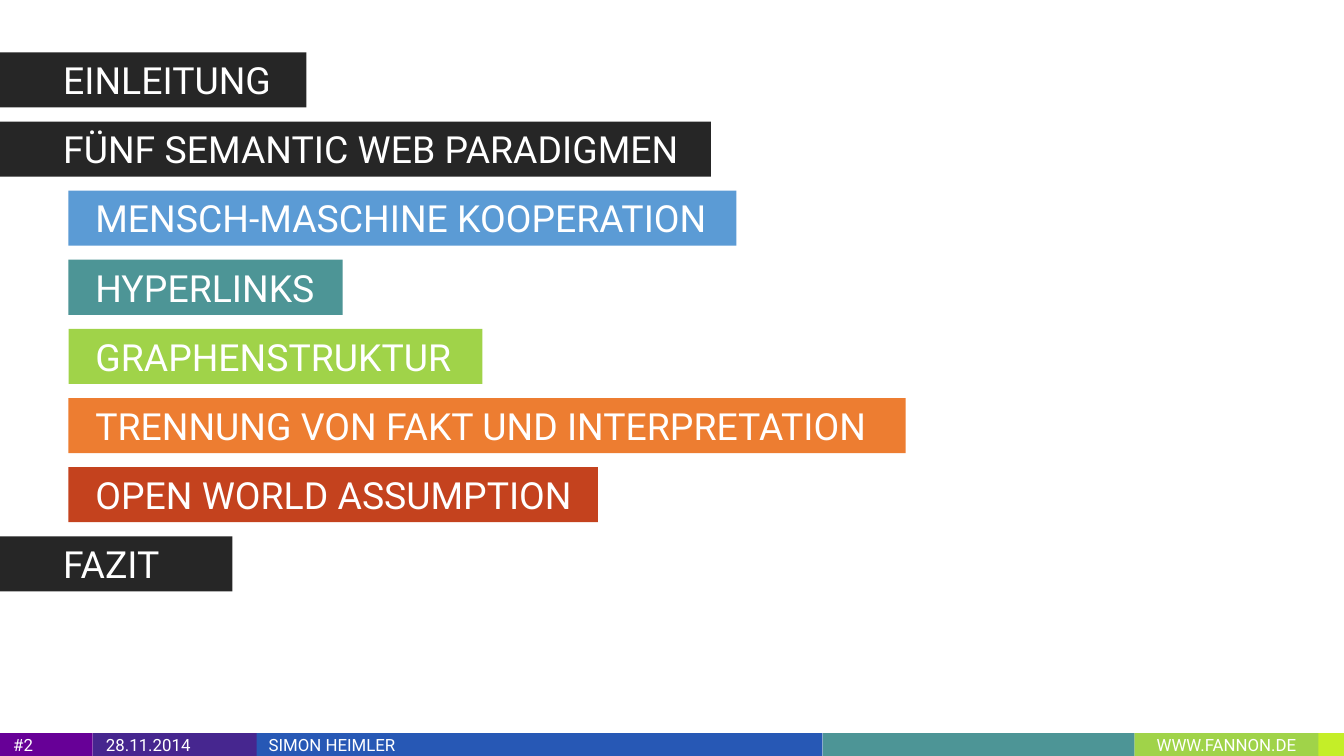
import pptx
import pptx.util
import pptx.dml.color
import pptx.enum.shapes
import pptx.enum.text

Inches = pptx.util.Inches
RGB = pptx.dml.color.RGBColor
ALIGN = pptx.enum.text.PP_ALIGN

WHITE = RGB(0xFF, 0xFF, 0xFF)
DARK = RGB(0x26, 0x26, 0x26)
SKY = RGB(0x5B, 0x9B, 0xD5)
TEAL = RGB(0x4D, 0x95, 0x96)
GREEN = RGB(0xA0, 0xD3, 0x49)
ORANGE = RGB(0xED, 0x7D, 0x31)
RED = RGB(0xC4, 0x42, 0x1E)
PURPLE = RGB(0x67, 0x00, 0x97)
VIOLET = RGB(0x46, 0x26, 0x8F)
BLUE = RGB(0x27, 0x58, 0xB5)
LIME = RGB(0xC4, 0xEE, 0x28)

SLIDE_W = 10
SLIDE_H = SLIDE_W * 9 / 16
FONT = "Roboto"

# Agenda: text, level, bar width, colour
AGENDA = [
    ("EINLEITUNG", 0, 2.28, DARK),
    ("FÜNF SEMANTIC WEB PARADIGMEN", 0, 5.29, DARK),
    ("MENSCH-MASCHINE KOOPERATION", 1, 4.97, SKY),
    ("HYPERLINKS", 1, 2.04, TEAL),
    ("GRAPHENSTRUKTUR", 1, 3.08, GREEN),
    ("TRENNUNG VON FAKT UND INTERPRETATION", 1, 6.23, ORANGE),
    ("OPEN WORLD ASSUMPTION", 1, 3.94, RED),
    ("FAZIT", 0, 1.73, DARK),
]
# Per level: bar left and text insets (left, top, right, bottom)
LEVELS = [(0, (0.47, 0.08, 0.08, 0.04)), (0.51, (0.2, 0.08, 0.12, 0.04))]
FIRST_TOP, LAST_TOP, BAR_H = 0.39, 3.99, 0.41
PITCH = (LAST_TOP - FIRST_TOP) / (len(AGENDA) - 1)

# Footer segments, back to front: text, left, width, colour, alignment
FOOTER = [
    ("", 9.77, 0.23, LIME, ALIGN.LEFT),
    ("WWW.FANNON.DE", 8.44, 1.37, GREEN, ALIGN.CENTER),
    ("#2", 0, 0.69, PURPLE, ALIGN.LEFT),
    ("", 6.12, 2.32, TEAL, ALIGN.LEFT),
    ("SIMON HEIMLER", 1.9, 4.22, BLUE, ALIGN.LEFT),
    ("28.11.2014", 0.69, 1.22, VIOLET, ALIGN.LEFT),
]
FOOTER_H = 0.17
FOOTER_INSETS = (0.1, 0.05, 0.1, 0.05)


def add_bar(s, box, color, text, size, insets, align=ALIGN.LEFT, spacing=1.0):
    sp = s.shapes.add_shape(pptx.enum.shapes.MSO_SHAPE.RECTANGLE, *map(Inches, box))
    sp.shadow.inherit = False
    sp.fill.solid()
    sp.fill.fore_color.rgb = color
    sp.line.fill.background()
    if not text:
        return
    tf = sp.text_frame
    tf.word_wrap = True
    tf.vertical_anchor = pptx.enum.text.MSO_ANCHOR.MIDDLE
    tf.margin_left, tf.margin_top, tf.margin_right, tf.margin_bottom = map(Inches, insets)
    p = tf.paragraphs[0]
    p.alignment = align
    p.line_spacing = spacing
    r = p.add_run()
    r.text = text
    r.font.name = FONT
    r.font.size = pptx.util.Pt(size)
    r.font.color.rgb = WHITE


prs = pptx.Presentation()
prs.slide_width, prs.slide_height = Inches(SLIDE_W), Inches(SLIDE_H)
s = prs.slides.add_slide(prs.slide_layouts[6])

# Footer strip along the bottom edge
for text, left, width, color, align in FOOTER:
    box = (left, SLIDE_H - FOOTER_H, width, FOOTER_H)
    add_bar(s, box, color, text, 9, FOOTER_INSETS, align)

# Agenda bars, one per row
for row, (text, level, width, color) in enumerate(AGENDA):
    left, insets = LEVELS[level]
    box = (left, FIRST_TOP + row * PITCH, width, BAR_H)
    add_bar(s, box, color, text, 20, insets, spacing=0.9)

prs.save("out.pptx")
